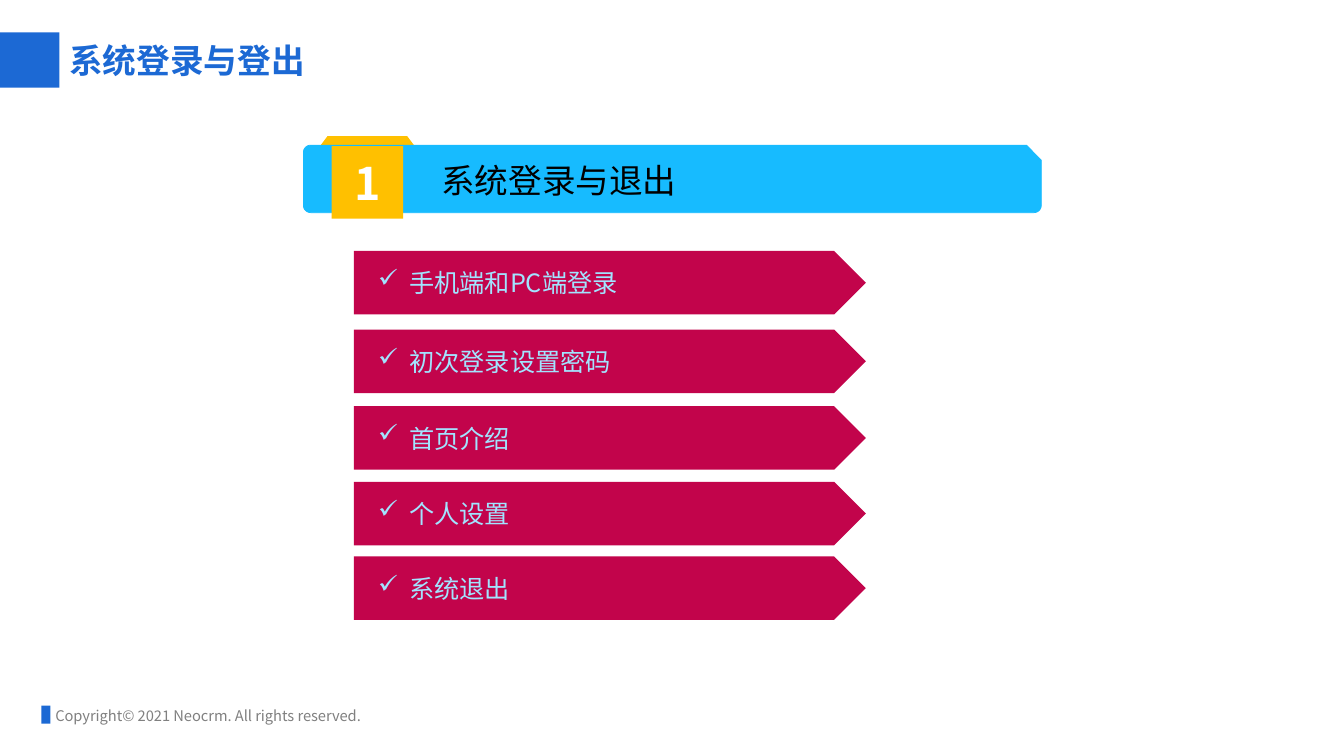
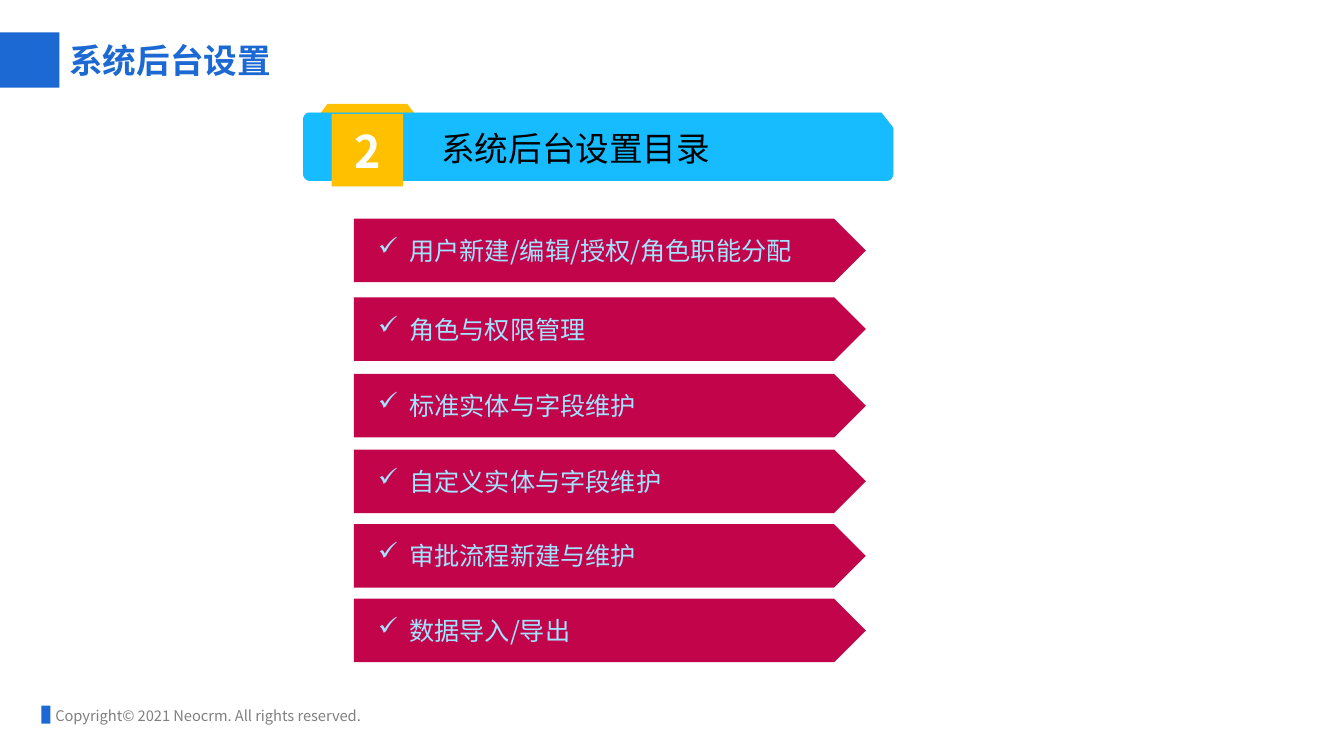
import itertools
import math

import pptx
import pptx.dml.color
import pptx.enum.shapes
import pptx.enum.text
import pptx.oxml
import pptx.oxml.ns
import pptx.util

SHAPES = pptx.enum.shapes.MSO_SHAPE
ALIGN = pptx.enum.text.PP_ALIGN
MIDDLE = pptx.enum.text.MSO_ANCHOR.MIDDLE

COLORS = {
    "blue": "1C69D4",
    "sky": "17BBFF",
    "gold": "FFC000",
    "crimson": "C2044B",
    "ice": "A2E4FF",
    "gray": "808080",
    "black": "000000",
    "white": "FFFFFF",
}

MAIN_FONT = "Noto Sans CJK SC"
FORMATS = {
    "title": ("blue", {"name": MAIN_FONT, "size": pptx.util.Pt(24), "bold": True}),
    "heading": ("black", {"name": MAIN_FONT, "size": pptx.util.Pt(24)}),
    "number": ("white", {"name": MAIN_FONT, "size": pptx.util.Pt(32), "bold": True}),
    "item": ("ice", {"name": MAIN_FONT, "size": pptx.util.Pt(18)}),
    "footer": ("gray", {"name": "Noto Sans CJK JP", "size": pptx.util.Pt(10.5)}),
}

COPYRIGHT = "Copyright© 2021 Neocrm. All rights reserved."
BAR_STEPS = (7.8, 7.6, 7.5, 7.4, 7.4)

SECTIONS = (
    {
        "title": "系统登录与登出",
        "number": "1",
        "heading": "系统登录与退出",
        "top": 14.4,
        "width": 73.2,
        "items": (
            "手机端和PC端登录",
            "初次登录设置密码",
            "首页介绍",
            "个人设置",
            "系统退出",
        ),
    },
    {
        "title": "系统后台设置",
        "number": "2",
        "heading": "系统后台设置目录",
        "top": 11.2,
        "width": 58.5,
        "items": (
            "用户新建/编辑/授权/角色职能分配",
            "角色与权限管理",
            "标准实体与字段维护",
            "自定义实体与字段维护",
            "审批流程新建与维护",
            "数据导入/导出",
        ),
    },
)


def grid(cells):
    return pptx.util.Inches(cells / 10)


def color(name):
    return pptx.dml.color.RGBColor.from_string(COLORS[name])


def corner(center_x, center_y, radius_x, radius_y, start):
    angles = [math.radians(start + step * 15) for step in range(7)]
    return [
        (center_x + radius_x * math.cos(angle), center_y + radius_y * math.sin(angle))
        for angle in angles
    ]


class SectionDeck:
    def __init__(self):
        self.deck = pptx.Presentation()
        self.deck.slide_width = grid(133.33)
        self.deck.slide_height = grid(75)
        self.page = None

    def add_page(self, title):
        self.page = self.deck.slides.add_slide(self.deck.slide_layouts[6])
        self.text(4.5, 69.6, 36.2, 2.8, COPYRIGHT, "footer")
        self.shape(4.1, 70, 0.9, 1.8, "blue")
        self.shape(0, 3.2, 5.9, 5.5, "blue")
        self.text(5.9, 3.5, 105.8, 5, title, "title")

    def paint(self, box, fill, line=None):
        box.shadow.inherit = False
        box.fill.solid()
        box.fill.fore_color.rgb = color(fill)
        if line:
            box.line.color.rgb = color(line)
            box.line.width = pptx.util.Pt(0.5)
        else:
            box.line.fill.background()
        return box

    def shape(self, left, top, width, height, fill, kind=SHAPES.RECTANGLE):
        cells = (left, top, width, height)
        box = self.page.shapes.add_shape(kind, *map(grid, cells))
        return self.paint(box, fill)

    def outline(self, points, fill, line=None):
        first, *rest = [(grid(x), grid(y)) for x, y in points]
        builder = self.page.shapes.build_freeform(*first)
        builder.add_line_segments(rest, close=True)
        return self.paint(builder.convert_to_shape(), fill, line)

    def set_text(self, frame, text, style, align=ALIGN.LEFT):
        frame.vertical_anchor = MIDDLE
        para = frame.paragraphs[0]
        para.alignment = align
        span = para.add_run()
        span.text = text
        shade, values = FORMATS[style]
        for name, value in values.items():
            setattr(span.font, name, value)
        span.font.color.rgb = color(shade)
        east_asian = pptx.oxml.parse_xml(
            f'<a:ea {pptx.oxml.ns.nsdecls("a")} typeface="{values["name"]}"/>'
        )
        span._r.get_or_add_rPr().append(east_asian)

    def text(self, left, top, width, height, text, style, wrap=True):
        cells = (left, top, width, height)
        frame = self.page.shapes.add_textbox(*map(grid, cells)).text_frame
        frame.word_wrap = wrap
        self.set_text(frame, text, style)

    def banner(self, top, width, number, heading):
        left, height, radius = 30.1, 6.7, 0.7
        right, bottom = left + width, top + height
        round_x, snip = width * 0.01, width * 0.02
        self.outline(
            [(32.5, top - 0.9), (40.4, top - 0.9), (41.3, top + 0.3), (31.6, top + 0.3)],
            "gold",
        )
        self.outline(
            [
                (right - snip, top),
                (right, top + 1.5),
                *corner(right - round_x, bottom - radius, round_x, radius, 0),
                *corner(left + round_x, bottom - radius, round_x, radius, 90),
                *corner(left + round_x, top + radius, round_x, radius, 180),
            ],
            "sky",
            "sky",
        )
        heading_width = len(heading) * 10 / 3 + 2
        self.text(42.8, top + 1, heading_width, 5, heading, "heading", wrap=False)
        badge = self.shape(32.9, top + 0.1, 7.1, 7.2, "gold")
        badge.text_frame.word_wrap = False
        self.set_text(badge.text_frame, number, "number", ALIGN.CENTER)

    def bar(self, top, text):
        box = self.shape(35.1, top, 50.8, 6.3, "crimson", SHAPES.PENTAGON)
        frame = box.text_frame
        margins = {"left": 2.4, "top": 0, "right": 0, "bottom": 0}
        for side, cells in margins.items():
            setattr(frame, f"margin_{side}", grid(cells))
        frame.word_wrap = True
        properties = frame.paragraphs[0]._p.get_or_add_pPr()
        properties.set("marL", str(grid(3.1)))
        properties.set("indent", str(grid(-3.1)))
        properties.append(
            pptx.oxml.parse_xml(f'<a:buChar {pptx.oxml.ns.nsdecls("a")} char="✓"/>')
        )
        self.set_text(frame, text, "item")

    def bars(self, top, items):
        tops = itertools.accumulate(BAR_STEPS, initial=top)
        for bar_top, text in zip(tops, items):
            self.bar(bar_top, text)


def main():
    sections = SectionDeck()
    for section in SECTIONS:
        top = section["top"]
        sections.add_page(section["title"])
        sections.banner(top, section["width"], section["number"], section["heading"])
        sections.bars(top + 10.5, section["items"])
    sections.deck.save("out.pptx")


if __name__ == "__main__":
    main()
